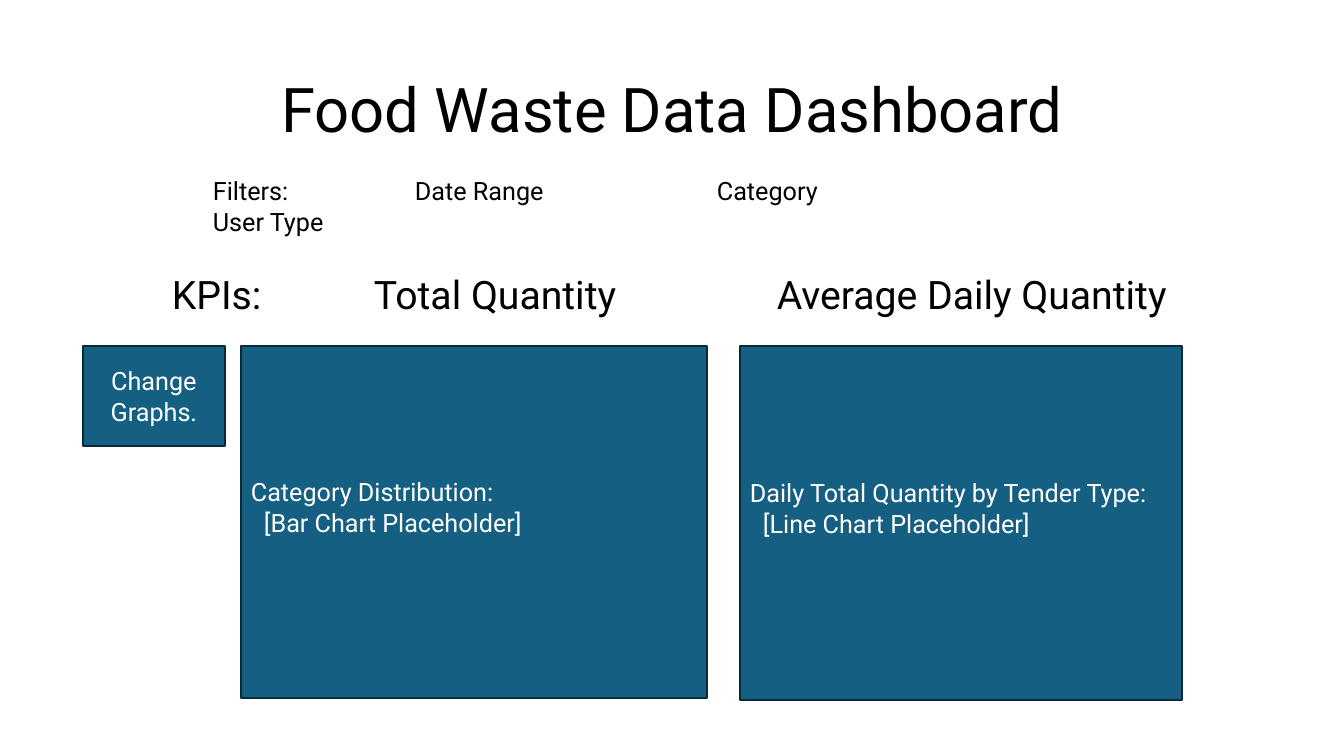
import pptx
import pptx.util
import pptx.dml.color
import pptx.enum.shapes
import pptx.enum.text
import pptx.oxml.ns
from lxml import etree

SLIDE_SIZE = (1344, 756)  # px
EMU_PER_PX = 914400 / 100.8
FONT = "Roboto"
COLORS = {"ink": "000000", "panel": "156082", "edge": "092A39", "light": "FFFFFF"}

# Content: lines are (text, indent in px); boxes are left, top, width, height in px
HEADINGS = [
    dict(lines=[("Food Waste Data Dashboard", 0)], box=(93, 40, 1159, 146),
         size=44, align="CENTER", spacing=0.9),
    dict(lines=[("KPIs:\tTotal Quantity\tAverage Daily Quantity", 0)],
         box=(162, 271, 1018, 73), size=28, anchor="TOP", spacing=0.9,
         before=10, tabs=(202, 605)),
    dict(lines=[("Filters:\tDate Range\tCategory\tUser Type", 0)],
         box=(203, 162, 939, 88), tabs=(202, 504, 907)),
]
PANELS = [
    dict(lines=[("Category Distribution:", 0), ("[Bar Chart Placeholder]", 13)],
         box=(241, 346, 466, 352), bottom=35),
    dict(lines=[("Daily Total Quantity by Tender Type:", 0),
                ("[Line Chart Placeholder]", 13)],
         box=(740, 346, 442, 354), bottom=35),
    dict(lines=[("Change Graphs.", 0)], box=(83, 346, 142, 100), align="CENTER"),
]


def px(length):
    return pptx.util.Emu(round(length * EMU_PER_PX))


def rgb(name):
    return pptx.dml.color.RGBColor.from_string(COLORS[name])


def write(holder, lines, size=18, color="ink", align="LEFT", anchor="MIDDLE",
          spacing=None, before=None, tabs=(), bottom=5):
    frame = holder.text_frame
    frame.word_wrap = True
    frame.vertical_anchor = pptx.enum.text.MSO_ANCHOR[anchor]
    frame.margin_bottom = px(bottom)
    for number, (text, indent) in enumerate(lines):
        line = frame.add_paragraph() if number else frame.paragraphs[0]
        line.alignment = pptx.enum.text.PP_ALIGN[align]
        if spacing:
            line.line_spacing = spacing
        if before:
            line.space_before = pptx.util.Pt(before)
        run = line.add_run()
        run.text = text
        run.font.name = FONT
        run.font.size = pptx.util.Pt(size)
        run.font.color.rgb = rgb(color)

        # Indent and tab stops
        properties = line._p.get_or_add_pPr()
        if indent:
            properties.set("marL", str(px(indent)))
            properties.set("indent", "0")
        if tabs:
            stops = etree.SubElement(properties, pptx.oxml.ns.qn("a:tabLst"))
            for position in tabs:
                etree.SubElement(stops, pptx.oxml.ns.qn("a:tab"),
                                 pos=str(px(position)), algn="l")


def add_heading(slide, box, **text):
    write(slide.shapes.add_textbox(*map(px, box)), **text)


def add_panel(slide, box, **text):
    panel = slide.shapes.add_shape(
        pptx.enum.shapes.MSO_SHAPE.RECTANGLE, *map(px, box))
    panel.shadow.inherit = False
    panel.fill.solid()
    panel.fill.fore_color.rgb = rgb("panel")
    panel.line.color.rgb = rgb("edge")
    panel.line.width = pptx.util.Pt(1.5)
    write(panel, color="light", **text)


def main():
    deck = pptx.Presentation()
    deck.slide_width, deck.slide_height = map(px, SLIDE_SIZE)
    dashboard = deck.slides.add_slide(deck.slide_layouts[6])

    # Title, KPI row and filter row
    for heading in HEADINGS:
        add_heading(dashboard, **heading)

    # Chart panels and the button that changes them
    for panel in PANELS:
        add_panel(dashboard, **panel)

    deck.save("out.pptx")


if __name__ == "__main__":
    main()
